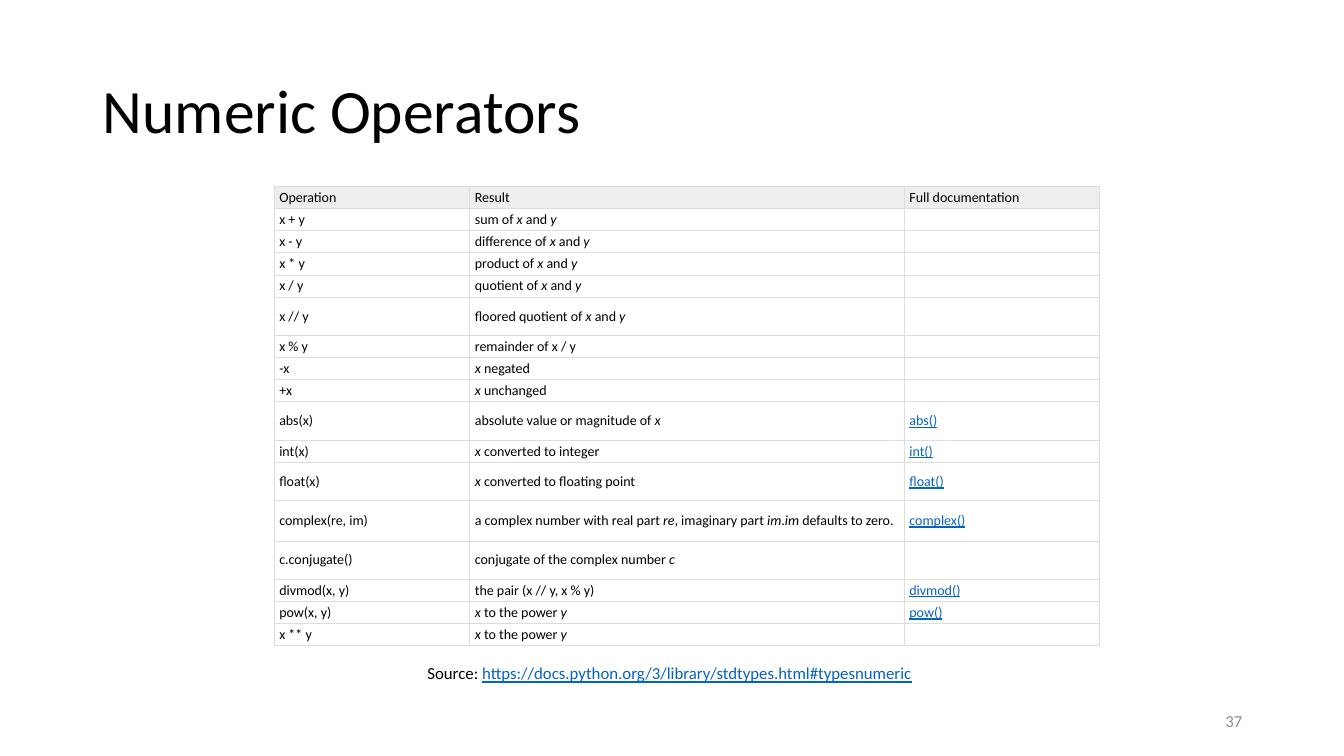
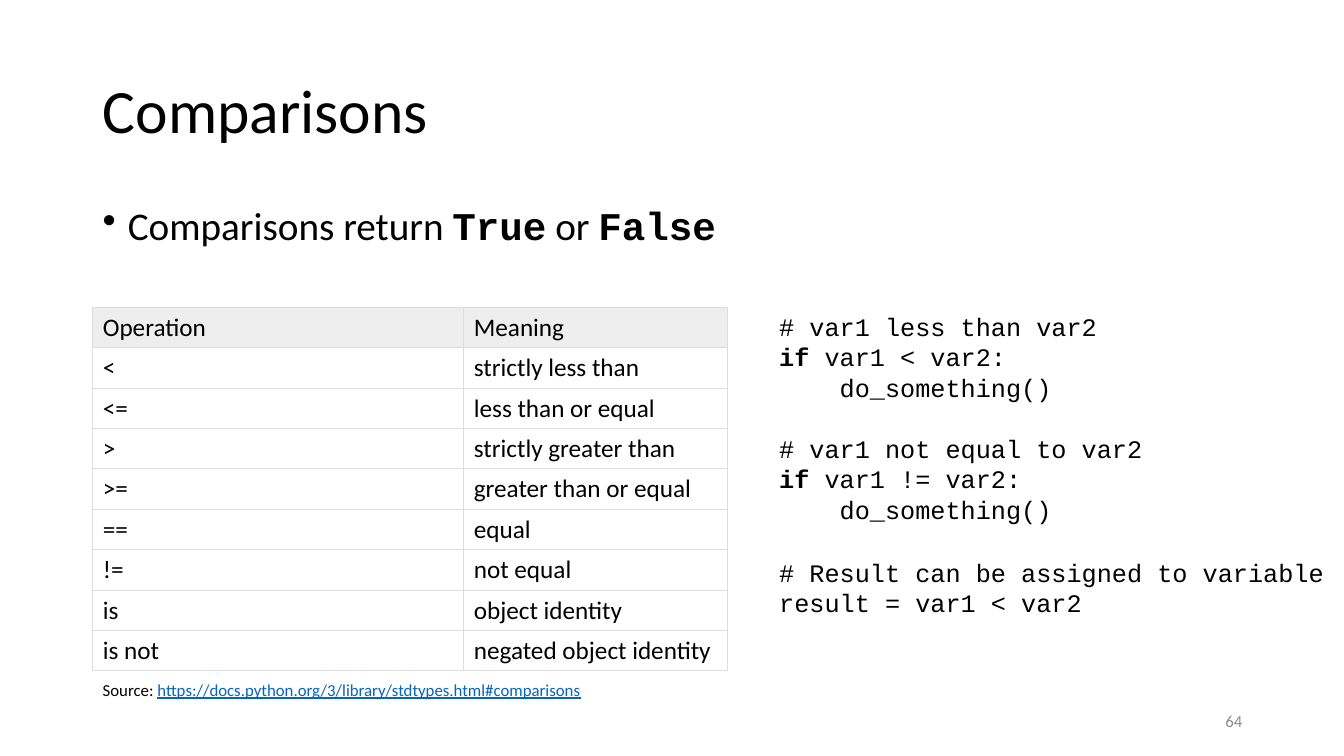
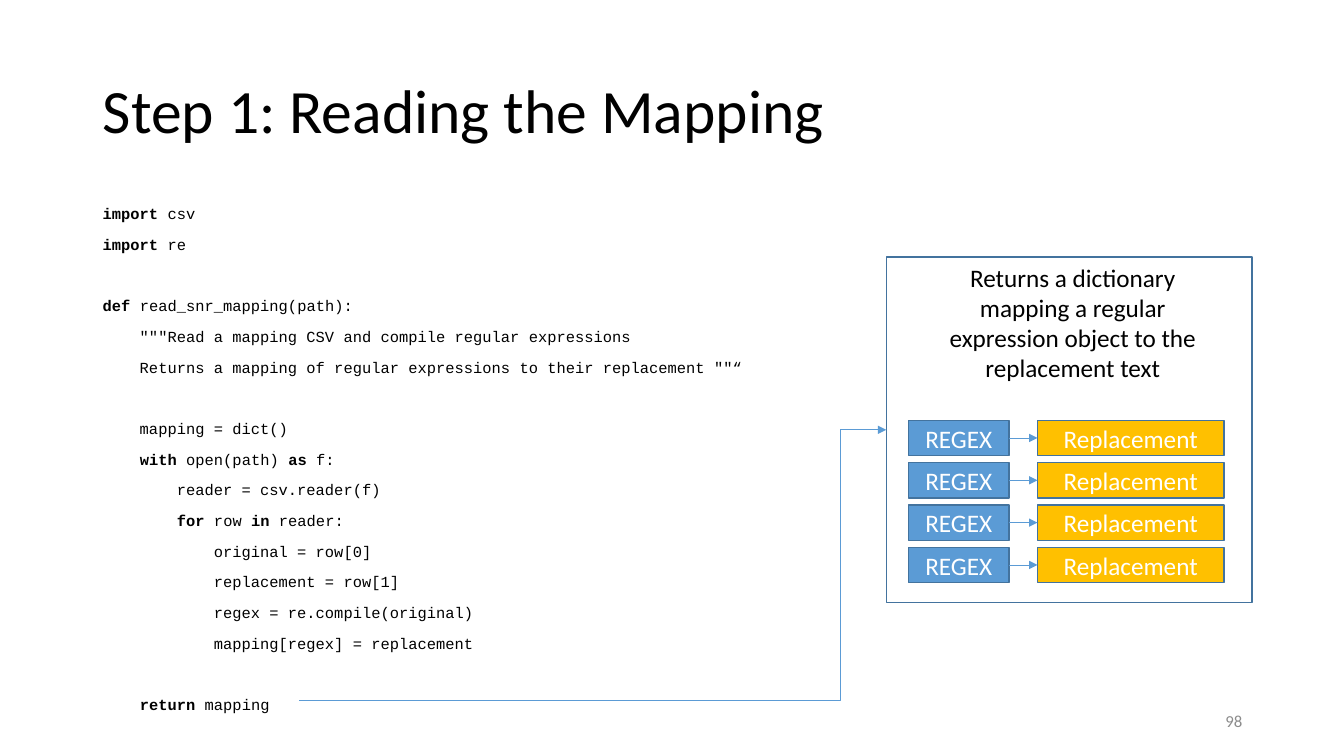
from dataclasses import dataclass

from lxml import etree
from pptx import Presentation
from pptx.dml.color import RGBColor
from pptx.enum.shapes import MSO_CONNECTOR, MSO_SHAPE
from pptx.enum.text import MSO_ANCHOR, MSO_AUTO_SIZE, PP_ALIGN
from pptx.oxml.ns import qn
from pptx.util import Pt

PX = 9144  # EMU in one px, 100 px to the inch
LEFT, CENTER, RIGHT = PP_ALIGN.LEFT, PP_ALIGN.CENTER, PP_ALIGN.RIGHT
TOP, MIDDLE = MSO_ANCHOR.TOP, MSO_ANCHOR.MIDDLE
STRAIGHT, ELBOW = MSO_CONNECTOR.STRAIGHT, MSO_CONNECTOR.ELBOW
LEFT_SIDE, RIGHT_SIDE = 1, 3
TITLE_ONLY = 5


@dataclass(frozen=True)
class Theme:
    sans: str = "Calibri"
    mono: str = "Courier New"
    ink: str = "000000"
    paper: str = "FFFFFF"
    muted: str = "8C8C8C"
    link: str = "0563C1"
    grid: str = "DDDDDD"
    header: str = "EEEEEE"
    blue: str = "5B9BD5"
    gold: str = "FFC000"
    outline: str = "43739E"
    title_size: int = 44
    body_size: int = 28
    label_size: int = 18
    note_size: int = 12
    code_size: int = 11
    cell_size: int = 10


THEME = Theme()
# Looks of the words between backticks
ITALIC = {"italic": True}
BOLD = {"bold": True}
BOLD_CODE = {"bold": True, "font": THEME.mono}
LINK = {"underline": True, "color": THEME.link}

OPERATORS = [
    ("Operation", "Result", "Full documentation"),
    ("x + y", "sum of `x` and `y`", ""),
    ("x - y", "difference of `x` and `y`", ""),
    ("x * y", "product of `x` and `y`", ""),
    ("x / y", "quotient of `x` and `y`", ""),
    ("x // y", "floored quotient of `x` and `y`", ""),
    ("x % y", "remainder of x / y", ""),
    ("-x", "`x` negated", ""),
    ("+x", "`x` unchanged", ""),
    ("abs(x)", "absolute value or magnitude of `x`", "`abs()`"),
    ("int(x)", "`x` converted to integer", "`int()`"),
    ("float(x)", "`x` converted to floating point", "`float()`"),
    ("complex(re, im)",
     "a complex number with real part `re`, imaginary part `im`.`im` defaults to zero.",
     "`complex()`"),
    ("c.conjugate()", "conjugate of the complex number `c`", ""),
    ("divmod(x, y)", "the pair (x // y, x % y)", "`divmod()`"),
    ("pow(x, y)", "`x` to the power `y`", "`pow()`"),
    ("x ** y", "`x` to the power `y`", ""),
]
OPERATOR_HEIGHTS = [22] * 5 + [38] + [22] * 3 + [38, 22, 38, 40, 38] + [22] * 3

COMPARISONS = [
    ("Operation", "Meaning"),
    ("<", "strictly less than"),
    ("<=", "less than or equal"),
    (">", "strictly greater than"),
    (">=", "greater than or equal"),
    ("==", "equal"),
    ("!=", "not equal"),
    ("is", "object identity"),
    ("is not", "negated object identity"),
]
# Top, width, height and lines of each example
EXAMPLES = [
    (304, 337, 101, ["# var1 less than var2", "`if` var1 < var2:", "    do_something()"]),
    (425, 382, 101, ["# var1 not equal to var2", "`if` var1 != var2:", "    do_something()"]),
    (548, 563, 71, ["# Result can be assigned to variable", "result = var1 < var2"]),
]

# Groups of code lines, set apart by a wider gap
MAPPING_CODE = [
    ["`import` csv", "`import` re"],
    ["`def `read_snr_mapping(path):",
     '    """Read a mapping CSV and compile regular expressions',
     '    Returns a mapping of regular expressions to their replacement ""“'],
    ["    mapping = dict()",
     "    `with` open(path) `as` f:",
     "        reader = csv.reader(f)",
     "        `for` row `in` reader:",
     "            original = row[0]",
     "            replacement = row[1]",
     "            regex = re.compile(original)",
     "            mapping[regex] = replacement"],
    ["    `return` mapping"],
]


def rgb(color):
    return RGBColor.from_string(color)


def scaled(*lengths):
    return [length * PX for length in lengths]


# Text
def add_span(para, words, *, size, font, color, bold=False, italic=False, underline=False):
    span = para.add_run()
    span.text = words
    span.font.size = Pt(size)
    span.font.name = font
    span.font.color.rgb = rgb(color)
    span.font.bold, span.font.italic, span.font.underline = bold, italic, underline


def write(frame, lines, *, size=THEME.label_size, font=THEME.sans, color=THEME.ink,
          marked=BOLD, align=LEFT, anchor=TOP, line_spacing=None, gaps=None, bullet=False):
    """Fill a frame; words between backticks take the marked look."""
    frame.vertical_anchor = anchor
    base = {"size": size, "font": font, "color": color}
    for index, line in enumerate(lines):
        para = frame.add_paragraph() if index else frame.paragraphs[0]
        if bullet:
            add_bullet(para)
        para.alignment = align
        if line_spacing:
            para.line_spacing = line_spacing
        if index and gaps:
            para.space_before = Pt(gaps[index])
        for part, words in enumerate(line.split("`")):
            if words:
                add_span(para, words, **(base | marked if part % 2 else base))
        if not line:  # keeps an empty cell as low as the text size
            etree.SubElement(para._p, qn("a:endParaRPr"), sz=str(size * 100))


def add_bullet(para):
    props = para._p.get_or_add_pPr()
    props.set("marL", str(25 * PX))
    props.set("indent", str(-25 * PX))
    etree.SubElement(props, qn("a:buChar"), char="•")


def add_text(page, place, lines, *, wrap=True, **style):
    box = page.shapes.add_textbox(*scaled(*place))
    box.text_frame.word_wrap = wrap
    write(box.text_frame, lines, **style)


def add_source(page, place, address):
    add_text(page, place, [f"Source: `{address}`"], wrap=False,
             size=THEME.note_size, marked=LINK)


# Shapes and lines
def add_rect(page, place, *, fill=None, label=None):
    rect = page.shapes.add_shape(MSO_SHAPE.RECTANGLE, *scaled(*place))
    rect.shadow.inherit = False
    if fill:
        rect.fill.solid()
        rect.fill.fore_color.rgb = rgb(fill)
    else:
        rect.fill.background()
    rect.line.color.rgb = rgb(THEME.outline)
    rect.line.width = Pt(1)
    if label:
        write(rect.text_frame, [label], color=THEME.paper, align=CENTER, anchor=MIDDLE)
    return rect


def add_arrow(page, kind, start, end, *, source=None, target=None, bend=None):
    arrow = page.shapes.add_connector(kind, *scaled(*start, *end))
    if source:
        arrow.begin_connect(source, RIGHT_SIDE)
    if target:
        arrow.end_connect(target, LEFT_SIDE)
    arrow.line.color.rgb = rgb(THEME.blue)
    arrow.line.width = Pt(0.5)
    props = arrow._element.spPr
    etree.SubElement(props.find(qn("a:ln")), qn("a:tailEnd"), type="triangle")
    etree.SubElement(props, qn("a:effectLst"))
    if bend:
        guides = props.find(qn("a:prstGeom")).get_or_add_avLst()
        etree.SubElement(guides, qn("a:gd"), name="adj1", fmla=f"val {bend}")


# Tables
def add_border(cell):
    props = cell._tc.get_or_add_tcPr()
    for index, side in enumerate(("a:lnL", "a:lnR", "a:lnT", "a:lnB")):
        line = etree.Element(qn(side), w=str(Pt(0.75)))
        fill = etree.SubElement(line, qn("a:solidFill"))
        etree.SubElement(fill, qn("a:srgbClr"), val=THEME.grid)
        props.insert(index, line)


def add_grid(page, left, top, widths, heights, rows, *, size, margins=(10, 5)):
    place = scaled(left, top, sum(widths), sum(heights))
    table = page.shapes.add_table(len(rows), len(widths), *place).table
    table.first_row = table.horz_banding = False
    for column, width in zip(table.columns, widths):
        column.width = width * PX
    for row, height in zip(table.rows, heights):
        row.height = height * PX
    side, edge = scaled(*margins)
    for row_index, row in enumerate(rows):
        for column_index, words in enumerate(row):
            cell = table.cell(row_index, column_index)
            cell.margin_left = cell.margin_right = side
            cell.margin_top = cell.margin_bottom = edge
            cell.vertical_anchor = MIDDLE
            cell.fill.solid()
            cell.fill.fore_color.rgb = rgb(THEME.paper if row_index else THEME.header)
            add_border(cell)
            write(cell.text_frame, [words], size=size, anchor=MIDDLE,
                  marked=LINK if column_index == 2 else ITALIC)


# Slides
def add_page(deck, title, number):
    page = deck.slides.add_slide(deck.slide_layouts[TITLE_ONLY])
    heading = page.shapes.title
    heading.left, heading.top, heading.width, heading.height = scaled(92, 40, 1150, 145)
    heading.text_frame.auto_size = MSO_AUTO_SIZE.NONE
    write(heading.text_frame, [title], size=THEME.title_size, anchor=MIDDLE, line_spacing=0.9)
    add_text(page, (942, 695, 300, 40), [str(number)], size=THEME.note_size,
             color=THEME.muted, align=RIGHT, anchor=MIDDLE)
    return page


def add_operators(deck):
    page = add_page(deck, "Numeric Operators", 37)
    add_grid(page, 272, 185, [194, 431, 194], OPERATOR_HEIGHTS, OPERATORS,
             size=THEME.cell_size, margins=(5, 2))
    add_source(page, (414, 653, 505, 30),
               "https://docs.python.org/3/library/stdtypes.html#typesnumeric")


def add_comparisons(deck):
    page = add_page(deck, "Comparisons", 64)
    add_text(page, (92, 200, 1150, 476), ["Comparisons return `True` or `False`"],
             size=THEME.body_size, marked=BOLD_CODE, line_spacing=0.9, bullet=True)
    add_grid(page, 92, 305, [368, 262], [40] * len(COMPARISONS), COMPARISONS,
             size=THEME.label_size)
    for top, width, height, lines in EXAMPLES:
        add_text(page, (763, top, width, height), lines, wrap=False, font=THEME.mono)
    add_source(page, (92, 669, 499, 30),
               "https://docs.python.org/3/library/stdtypes.html#comparisons")


def add_mapping(deck):
    page = add_page(deck, "Step 1: Reading the Mapping", 98)
    lines = [line for group in MAPPING_CODE for line in group]
    gaps = [10 if index else 32 for group in MAPPING_CODE for index in range(len(group))]
    add_text(page, (92, 200, 675, 535), lines, size=THEME.code_size, font=THEME.mono,
             line_spacing=0.9, gaps=gaps)

    # Dictionary with its pairs
    result = add_rect(page, (879, 255, 363, 343))
    for index in range(4):
        top = 417 + 42 * index
        regex = add_rect(page, (901, top, 100, 35), fill=THEME.blue, label="REGEX")
        replacement = add_rect(page, (1029, top, 185, 35), fill=THEME.gold, label="Replacement")
        add_arrow(page, STRAIGHT, (1001, top), (1029, top), source=regex, target=replacement)
    add_text(page, (928, 255, 272, 131),
             ["Returns a dictionary mapping a regular expression object to the replacement text"],
             align=CENTER)
    add_arrow(page, ELBOW, (297, 695), (879, 426), target=result, bend=92100)


def main():
    deck = Presentation()
    deck.slide_width, deck.slide_height = scaled(1333, 750)
    add_operators(deck)
    add_comparisons(deck)
    add_mapping(deck)
    deck.save("out.pptx")


if __name__ == "__main__":
    main()
